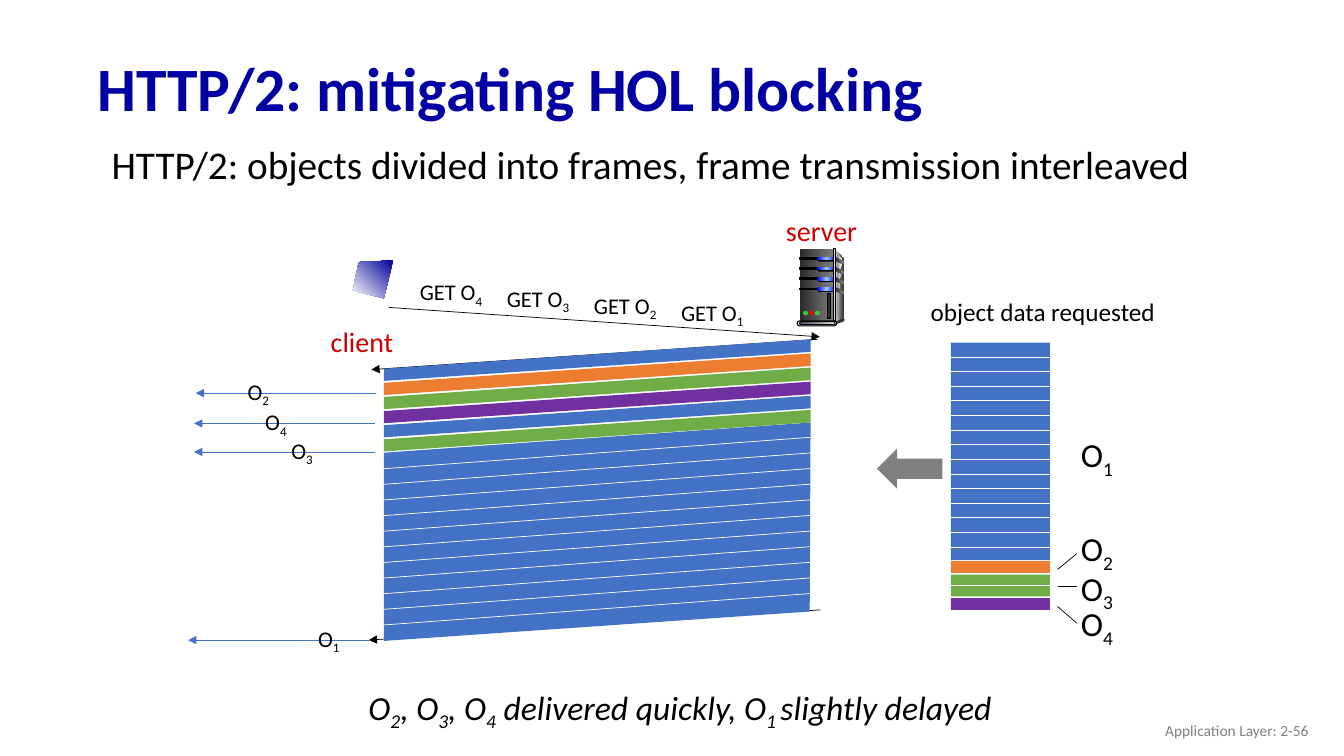
from dataclasses import dataclass

import lxml.etree as etree
import pptx
import pptx.dml.color
import pptx.enum.shapes
import pptx.enum.text
import pptx.oxml.ns
import pptx.util

SHAPE = pptx.enum.shapes.MSO_SHAPE
ALIGN = pptx.enum.text.PP_ALIGN
ANCHOR = pptx.enum.text.MSO_ANCHOR
qn = pptx.oxml.ns.qn


@dataclass(frozen=True)
class Theme:
    font: str = "Calibri"
    title: str = "0000A3"
    ink: str = "000000"
    paper: str = "FFFFFF"
    host: str = "CC0000"
    gray: str = "808080"
    dark: str = "292929"
    edge: str = "333333"
    light: str = "DDDDDD"
    blue: str = "4472C4"
    orange: str = "ED7D31"
    green: str = "70AD47"
    purple: str = "7030A0"
    title_size: int = 44
    lead_size: int = 28
    big_size: int = 24
    host_size: int = 20
    note_size: int = 18
    label_size: int = 16
    footer_size: int = 11


T = Theme()


def rgb(color):
    return pptx.dml.color.RGBColor.from_string(color)


def write(tf, text, size=T.label_size, color=T.ink, bold=False, italic=False,
          align=ALIGN.LEFT, anchor=ANCHOR.TOP, wrap=True, spacing=1.0, indent=None):
    """Fill a text frame; parts between underscores become subscripts."""
    tf.word_wrap = wrap
    tf.auto_size = pptx.enum.text.MSO_AUTO_SIZE.NONE
    tf.vertical_anchor = anchor
    p = tf.paragraphs[0]
    p.alignment, p.line_spacing, p.space_before = align, spacing, pptx.util.Pt(0)
    if indent is not None:
        pPr = p._p.get_or_add_pPr()
        pPr.set("marL", str(pptx.util.Inches(indent)))
        pPr.set("indent", "0")
        etree.SubElement(pPr, qn("a:buNone"))
    for i, part in enumerate(text.split("_")):
        if not part:
            continue
        r = p.add_run()
        r.text = part
        f = r.font
        f.name, f.size, f.bold, f.italic = T.font, pptx.util.Pt(size), bold, italic
        f.color.rgb = rgb(color)
        if i % 2:
            r._r.get_or_add_rPr().set("baseline", "-25000")


class Sheet:
    """The current slide on a grid of 160 columns by 90 rows."""
    columns, rows = 160, 90

    def __init__(self, prs):
        self.s = prs.slides.add_slide(prs.slide_layouts[1])
        self.col = prs.slide_width / self.columns
        self.row = prs.slide_height / self.rows

    def at(self, x, y):
        return round(x * self.col), round(y * self.row)

    def paint(self, sp, fill, line=None, angle=0):
        """A single colour is solid; a tuple is an even gradient."""
        sp.shadow.inherit = False
        if isinstance(fill, tuple):
            sp.fill.gradient()
            sp.fill.gradient_angle = angle
            stops = sp._element.spPr.find(".//" + qn("a:gsLst"))
            for old in list(stops):
                stops.remove(old)
            for i, color in enumerate(fill):
                pos = str(100000 * i // (len(fill) - 1))
                gs = etree.SubElement(stops, qn("a:gs"), pos=pos)
                etree.SubElement(gs, qn("a:srgbClr"), val=color)
        else:
            sp.fill.solid()
            sp.fill.fore_color.rgb = rgb(fill)
        if line:
            sp.line.color.rgb = rgb(line)
            sp.line.width = pptx.util.Pt(0.75)
        else:
            sp.line.fill.background()

    def shape(self, kind, x, y, w, h, fill, line=None):
        sp = self.s.shapes.add_shape(kind, *self.at(x, y), *self.at(w, h))
        if kind == SHAPE.ROUNDED_RECTANGLE:
            sp.adjustments[0] = 0.5
        self.paint(sp, fill, line)

    def outline(self, points, fill, angle=0):
        first, *rest = [self.at(x, y) for x, y in points]
        builder = self.s.shapes.build_freeform(*first)
        builder.add_line_segments(rest, close=True)
        self.paint(builder.convert_to_shape(), fill, angle=angle)

    def line(self, x1, y1, x2, y2, color=T.ink, arrow=False):
        c = self.s.shapes.add_connector(pptx.enum.shapes.MSO_CONNECTOR.STRAIGHT,
                                        *self.at(x1, y1), *self.at(x2, y2))
        c.line.color.rgb = rgb(color)
        c.line.width = pptx.util.Pt(0.5)
        spPr = c._element.spPr
        if arrow:
            etree.SubElement(spPr.find(qn("a:ln")), qn("a:tailEnd"), type="triangle")
        etree.SubElement(spPr, qn("a:effectLst"))

    def text(self, text, x, y, w, h, **fmt):
        write(self.s.shapes.add_textbox(*self.at(x, y), *self.at(w, h)).text_frame, text, **fmt)

    def placeholder(self, index, text, x, y, w, h, **fmt):
        sp = self.s.placeholders[index]
        sp.left, sp.top = self.at(x, y)
        sp.width, sp.height = self.at(w, h)
        write(sp.text_frame, text, **fmt)


def draw_server(sheet):
    rect, pill, dot = SHAPE.RECTANGLE, SHAPE.ROUNDED_RECTANGLE, SHAPE.OVAL
    metal = (T.dark, T.gray)
    # Case
    sheet.outline([(99.5, 29.8), (100.4, 30.7), (100.4, 37.9), (99.4, 38.3)], (T.light, T.edge))
    sheet.shape(rect, 95.2, 29.6, 4.1, 8.6, metal)
    sheet.outline([(99.6, 30.2), (100.2, 30.8), (99.9, 34), (99.6, 38)], (T.gray, "F8F8F8"))
    # Drive slots
    for i in range(4):
        y = 30.7 + 1.2 * i
        sheet.shape(rect, 95.2, y, 2.3, 0.2, T.ink, T.ink)
        sheet.shape(pill, 97.3, y - 0.1, 2.3, 0.55, T.ink)
        sheet.shape(pill, 97.3, y - 0.1, 2.2, 0.4, ("0000FF", "99CCFF", "0000FF"))
        sheet.outline([(99.4, y - 0.1), (100.4, y + 0.4), (100.4, y + 0.75), (99.4, y + 0.3)],
                      metal)
    sheet.shape(rect, 99.2, 29.6, 0.24, 8.6, (T.edge, T.light, T.edge), T.ink)
    # Foot, lights and vent
    sheet.shape(dot, 100.3, 37.9, 0.24, 0.36, T.edge)
    sheet.outline([(99.5, 38.3), (99.5, 38.6), (100.4, 38.3), (100.4, 37.9)], T.edge)
    sheet.shape(pill, 94.9, 38.2, 4.7, 0.6, T.light, T.ink)
    sheet.shape(pill, 95.2, 38.3, 4.2, 0.36, ("44546A", "E7E6E6"), T.ink)
    for i, color in enumerate(("33CC33", "FF0000", "33CC33")):
        sheet.shape(dot, 95.6 + 0.7 * i, 37, 0.6, 0.55, color)
    sheet.shape(rect, 98.5, 35, 0.36, 2.9, T.dark, T.ink)


def draw_exchange(sheet):
    # Hosts
    host = dict(size=T.host_size, color=T.host, align=ALIGN.CENTER, wrap=False)
    sheet.text("client", 38, 38, 10.2, 5.2, **host)
    sheet.text("server", 92.3, 24.8, 11, 5.3, **host)
    draw_server(sheet)
    sheet.outline([(46.8, 31), (42.7, 31.2), (42, 34.6), (45.7, 35.5)],
                  ("000099", T.paper), angle=225)
    # Requests
    sheet.line(46.3, 36.6, 97.6, 40.1, arrow=True)
    for i in range(4):
        sheet.text(f"GET O_{i + 1}_", 79.9 - 10.37 * i, 35 - 0.83 * i, 11.8, 4.4)
    # Interleaved frames
    left, right = 45.7, 96.5
    sheet.line(97.7, 72.6, 43.9, 76.2, arrow=True)
    sheet.outline([(right, 50.3), (left, 53.9), (left, 76.3), (right - 0.1, 72.8)], T.blue)
    sheet.line(97.3, 40.4, 44.2, 44, arrow=True)
    for i, color in enumerate((T.blue, T.orange, T.green, T.purple, T.blue, T.green)):
        y = 40.4 + 1.68 * i
        sheet.outline([(right, y), (left, y + 3.5), (left, y + 4.95), (right, y + 1.5)], color)
    for i in range(11):
        y = 55.8 + 1.86 * i
        sheet.line(left, y, right, y - 3.74, T.paper)
    # Deliveries
    for n, x, y, start in ((2, 28.3, 46.8, 44.8), (4, 30.4, 50.4, 44.6),
                           (3, 33.5, 53.8, 44.6), (1, 36.7, 76.2, 43.9)):
        sheet.line(start, y, start - 21.5, y, T.blue, arrow=True)
        sheet.text(f"O_{n}_", x, y - 2.4, 6, 4.4)


def draw_objects(sheet):
    x, w = 113.2, 11.8
    sheet.text("object data requested", 109.6, 34.7, 33.6, 4.8, size=T.note_size)
    sheet.shape(SHAPE.LEFT_ARROW, 104.4, 53.4, 7.8, 4.8, T.gray)
    # Stack of frames
    for y, h, color in ((40.8, 25.9, T.blue), (66.8, 1.4, T.orange), (68.4, 1.4, T.green),
                        (69.6, 1.4, T.green), (71.2, 1.4, T.purple)):
        sheet.shape(SHAPE.RECTANGLE, x, y, w, h, color)
    for y in [42.5 + 1.74 * i for i in range(14)] + [69.7]:
        sheet.line(x, y, x + w, y, T.paper)
    # Object names and leaders
    for n, y in enumerate((51.1, 62.3, 67, 71.2), 1):
        sheet.text(f"O_{n}_", 127.5, y, 9.4, 9.2, size=T.big_size)
    for y1, y2 in ((67.8, 65.9), (69.8, 69.8), (72.2, 74.2)):
        sheet.line(125.9, y1, 128.2, y2)


def main():
    prs = pptx.Presentation()
    prs.slide_width, prs.slide_height = pptx.util.Inches(13.33), pptx.util.Inches(7.5)
    sheet = Sheet(prs)
    # Title and lead
    sheet.placeholder(0, "HTTP/2: mitigating HOL blocking", 10.4, 5, 138, 11.8,
                      size=T.title_size, color=T.title, bold=True,
                      anchor=ANCHOR.MIDDLE, spacing=0.9)
    sheet.placeholder(1, "HTTP/2: objects divided into frames, frame transmission interleaved",
                      10.4, 16.7, 145.9, 6.6, size=T.lead_size, spacing=0.9, indent=0.14)
    # Diagram
    draw_exchange(sheet)
    draw_objects(sheet)
    # Conclusion and footer
    sheet.text("O_2_, O_3_, O_4_ delivered quickly, O_1 _slightly delayed", 41, 81.2, 86, 6.6,
               size=T.big_size, italic=True, spacing=0.9, indent=0.14)
    sheet.text("Application Layer: 2-56", 121, 84.6, 36, 4.8, size=T.footer_size,
               color=T.gray, align=ALIGN.RIGHT, anchor=ANCHOR.MIDDLE)
    prs.save("out.pptx")


if __name__ == "__main__":
    main()
